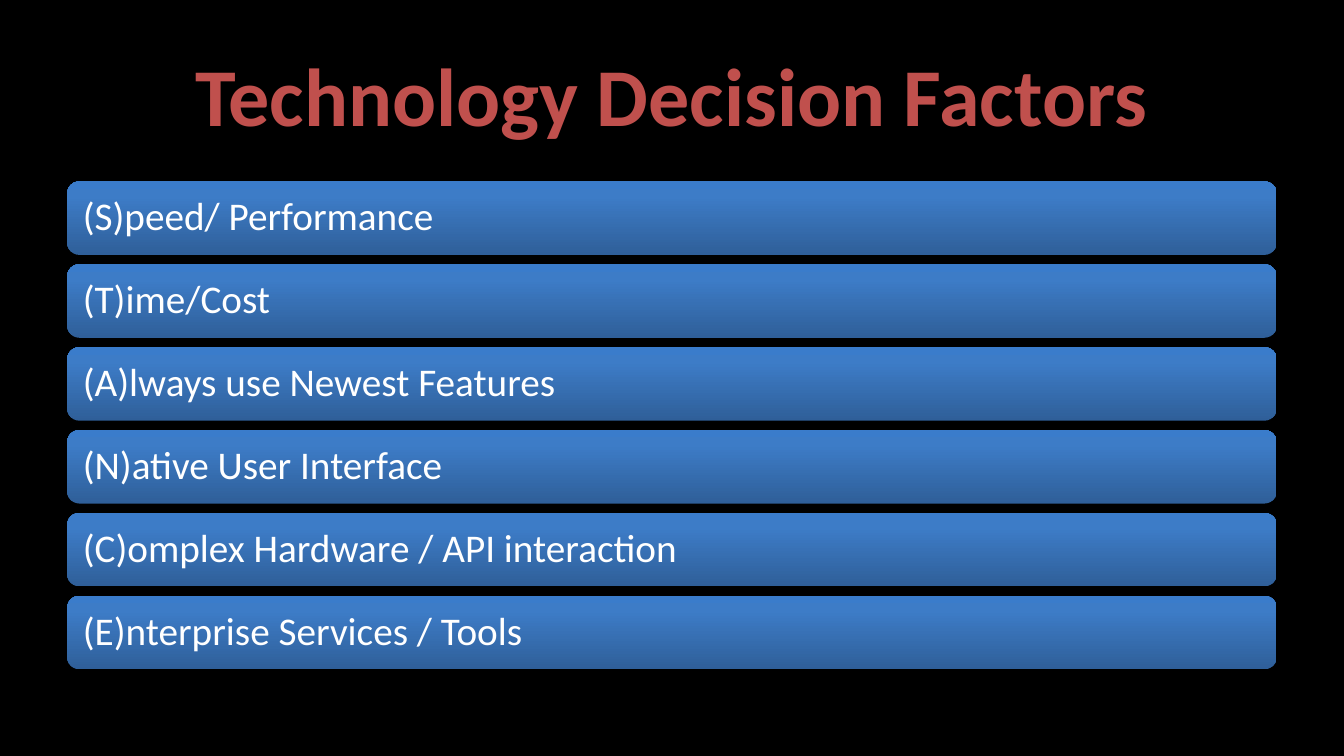
from copy import deepcopy

from pptx import Presentation
from pptx.dml.color import RGBColor
from pptx.enum import shapes, text
from pptx.oxml.ns import qn
from pptx.util import Inches, Pt

COLORS = {
    "background": "000000",
    "title": "C0504D",
    "label": "FFFFFF",
    "bar_bottom": "2F5F99",
    "bar_middle": "3D7CC7",
    "bar_top": "3A7CCB",
}
FONT = "Calibri"
FACTORS = [
    "(S)peed/ Performance",
    "(T)ime/Cost",
    "(A)lways use Newest Features",
    "(N)ative User Interface",
    "(C)omplex Hardware / API interaction",
    "(E)nterprise Services / Tools",
]


def color(name):
    return RGBColor.from_string(COLORS[name])


def format_text(frame, size, color_name, alignment, bold=False):
    frame.word_wrap = True
    frame.auto_size = text.MSO_AUTO_SIZE.NONE
    frame.vertical_anchor = text.MSO_ANCHOR.MIDDLE
    para = frame.paragraphs[0]
    para.alignment = alignment
    for span in para.runs:
        span.font.name = FONT
        span.font.size = Pt(size)
        span.font.bold = bold
        span.font.color.rgb = color(color_name)


def add_title(page, left, top, width, height):
    title = page.shapes.title
    title.left, title.top = Inches(left), Inches(top)
    title.width, title.height = Inches(width), Inches(height)
    title.text_frame.text = "Technology Decision Factors"
    format_text(title.text_frame, 44, "title", text.PP_ALIGN.CENTER, bold=True)


def fill_gradient(bar):
    """Shade the bar upwards through three colour stops."""
    bar.fill.gradient()
    bar.fill.gradient_angle = 90
    stop_list = bar._element.spPr.find(qn("a:gradFill")).find(qn("a:gsLst"))
    stop_list.append(deepcopy(stop_list[-1]))
    stops = [(0, "bar_bottom"), (0.8, "bar_middle"), (1, "bar_top")]
    for stop, (position, name) in zip(bar.fill.gradient_stops, stops):
        stop.position = position
        stop.color.rgb = color(name)


def add_factor_bars(page, left, top, width, height, gap=0.07):
    """Stack one bar per factor, evenly spaced over the given box."""
    bar_height = (height - gap * (len(FACTORS) - 1)) / len(FACTORS)
    group = page.shapes.add_group_shape()
    for index, factor in enumerate(FACTORS):
        bar = group.shapes.add_shape(
            shapes.MSO_SHAPE.ROUNDED_RECTANGLE,
            Inches(left), Inches(top + index * (bar_height + gap)),
            Inches(width), Inches(bar_height))
        bar.shadow.inherit = False
        bar.line.fill.background()
        fill_gradient(bar)
        frame = bar.text_frame
        frame.margin_left = frame.margin_right = Inches(0.09)
        frame.margin_top = frame.margin_bottom = Inches(0.09)
        frame.text = factor
        frame.paragraphs[0].line_spacing = 0.9
        format_text(frame, 21, "label", text.PP_ALIGN.LEFT)


def main():
    deck = Presentation()
    deck.slide_width = Inches(10)
    deck.slide_height = deck.slide_width * 9 // 16
    page = deck.slides.add_slide(deck.slide_layouts[5])
    page.background.fill.solid()
    page.background.fill.fore_color.rgb = color("background")
    add_title(page, 0.5, 0.23, 9, 0.94)
    add_factor_bars(page, 0.5, 1.35, 9, 3.63)
    deck.save("out.pptx")


if __name__ == "__main__":
    main()
